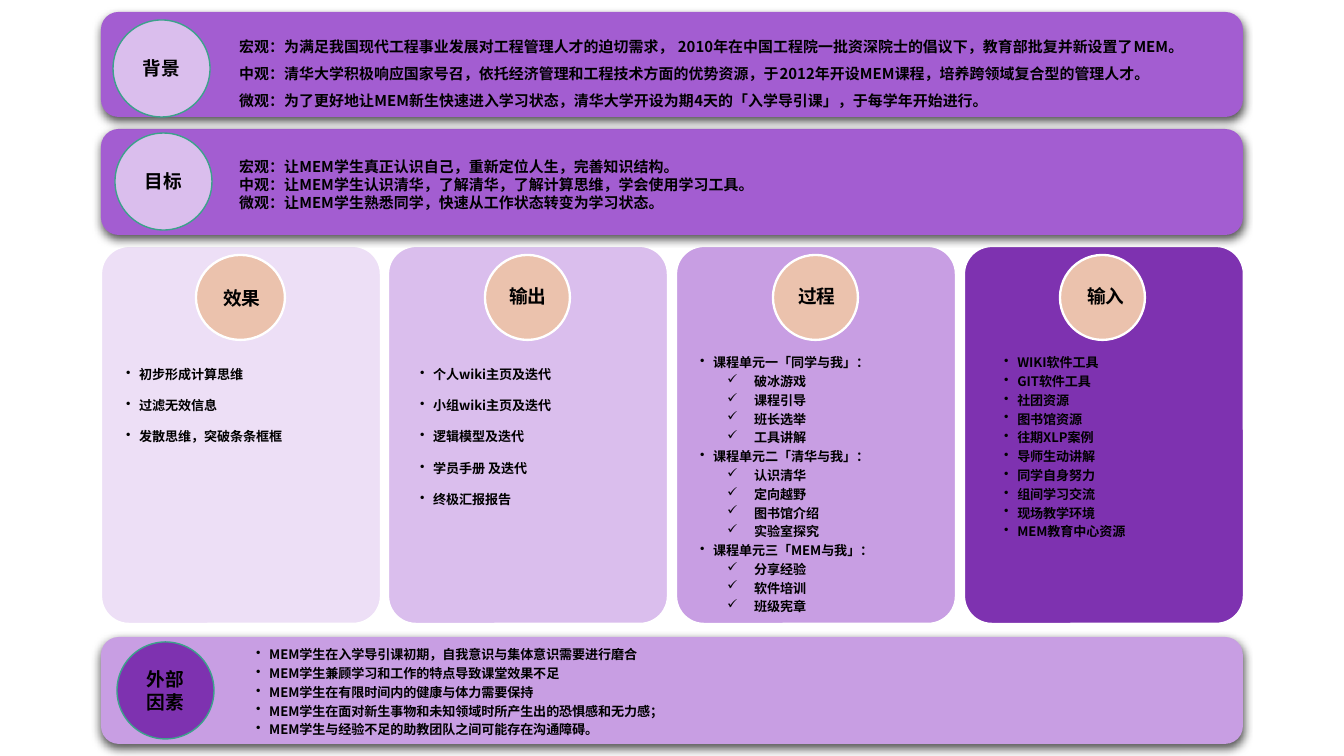
from lxml import etree
from pptx import Presentation
from pptx import util as u
from pptx.dml.color import RGBColor
from pptx.enum import shapes, text
from pptx.oxml import ns

PX = 9144000 / 1344  # EMU in one px
FONT = "Noto Sans CJK SC"
ROUND, OVAL, RECT = (shapes.MSO_SHAPE.ROUNDED_RECTANGLE,
                     shapes.MSO_SHAPE.OVAL, shapes.MSO_SHAPE.RECTANGLE)
rgb = RGBColor.from_string

deck = Presentation()
deck.slide_width, deck.slide_height = round(1344 * PX), round(756 * PX)
page = deck.slides.add_slide(deck.slide_layouts[6])


def add_shape(kind, place, fill, line=None, weight=1.25):
    shape = page.shapes.add_shape(kind, *(round(v * PX) for v in place))
    shape.shadow.inherit = False
    shape.fill.solid()
    shape.fill.fore_color.rgb = rgb(fill)
    if line:
        shape.line.color.rgb = rgb(line)
        shape.line.width = u.Pt(weight)
    else:
        shape.line.fill.background()
    return shape


def write(frame, lines, size, spacing=None, align=text.PP_ALIGN.LEFT):
    frame.text = "\n".join(lines)
    for para in frame.paragraphs:
        para.alignment = align
        para.line_spacing = spacing
        for span in para.runs:
            span.font.size = u.Pt(size)
            span.font.bold = True
            span.font.name = FONT
            span.font.color.rgb = rgb("000000")
            east = etree.SubElement(span.font._element, ns.qn("a:ea"))
            east.set("typeface", FONT)


# Four columns, each with a circle and its title
columns = [
    ("效果", "EDDFF6", (196, 255, 89, 85), (210, 280)),
    ("输出", "DABEED", (485, 255, 85, 85), (496, 278)),
    ("过程", "C89EE3", (773, 255, 85, 85), (785, 278)),
    ("输入", "7E32B0", (1060, 255, 85, 85), (1074, 278)),
]
for index, (title, fill, circle, corner) in enumerate(columns):
    column = add_shape(ROUND, (101 + index * 863 // 3, 246, 280, 378), fill, "FFFFFF")
    column.adjustments[0] = 0.1
    add_shape(OVAL, circle, "EBC2AD", "FFFFFF")
    label = add_shape(RECT, (*corner, 65, 36), "EBC2AD")
    label.text_frame.word_wrap = False
    label.text_frame.auto_size = text.MSO_AUTO_SIZE.SHAPE_TO_FIT_TEXT
    label.text_frame.vertical_anchor = text.MSO_ANCHOR.TOP
    write(label.text_frame, [title], 10)

# Wide bands with a soft shadow below
for top, height, fill in [(129, 106, "A35DD1"), (12, 105, "A35DD1"), (637, 107, "C89EE3")]:
    band = add_shape(ROUND, (101, top, 1142, height), fill)
    effects = band._element.spPr.find(ns.qn("a:effectLst"))
    shadow = etree.SubElement(effects, ns.qn("a:outerShdw"), blurRad=str(u.Pt(5)),
                              dist=str(u.Pt(2)), dir="5400000", rotWithShape="0")
    tone = etree.SubElement(shadow, ns.qn("a:srgbClr"), val="000000")
    etree.SubElement(tone, ns.qn("a:alpha"), val="69000")

# Round band labels
for title, left, top, fill in [("背景", 113, 20, "DABEED"), ("目标", 115, 133, "DABEED"),
                               ("外部因素", 117, 642, "7E32B0")]:
    badge = add_shape(OVAL, (left, top, 97, 97), fill, "3CA28B", 0.75)
    badge.text_frame.word_wrap = True
    badge.text_frame.vertical_anchor = text.MSO_ANCHOR.MIDDLE
    write(badge.text_frame, [title], 10, align=text.PP_ALIGN.CENTER)

# Body texts: place, size, line spacing, left margin of bullets in px, lines
# A line that starts with ✓ is a second-level item
bodies = [
    ((226, 22, 1011, 95), 8, 1.5, None, [
        "宏观：为满足我国现代工程事业发展对工程管理人才的迫切需求， 2010年在中国工程院一批资深院士的倡议下，教育部批复并新设置了MEM。",
        "中观：清华大学积极响应国家号召，依托经济管理和工程技术方面的优势资源，于2012年开设MEM课程，培养跨领域复合型的管理人才。",
        "微观：为了更好地让MEM新生快速进入学习状态，清华大学开设为期4天的「入学导引课」，于每学年开始进行。"]),
    ((226, 151, 974, 67), 8, None, None, [
        "宏观：让MEM学生真正认识自己，重新定位人生，完善知识结构。",
        "中观：让MEM学生认识清华，了解清华，了解计算思维，学会使用学习工具。",
        "微观：让MEM学生熟悉同学，快速从工作状态转变为学习状态。"]),
    ((687, 345, 269, 280), 7, 1.2, 13, [
        "课程单元一「同学与我」：", "✓破冰游戏", "✓课程引导", "✓班长选举", "✓工具讲解",
        "课程单元二「清华与我」：", "✓认识清华", "✓定向越野", "✓图书馆介绍", "✓实验室探究",
        "课程单元三「MEM与我」：", "✓分享经验", "✓软件培训", "✓班级宪章"]),
    ((973, 345, 266, 227), 7, 1.2, 31, [
        "WIKI软件工具", "GIT软件工具", "社团资源", "图书馆资源", "往期XLP案例",
        "导师生动讲解", "同学自身努力", "组间学习交流", "现场教学环境", "MEM教育中心资源"]),
    ((230, 637, 974, 106), 7, 1.2, 26, [
        "MEM学生在入学导引课初期，自我意识与集体意识需要进行磨合",
        "MEM学生兼顾学习和工作的特点导致课堂效果不足",
        "MEM学生在有限时间内的健康与体力需要保持",
        "MEM学生在面对新生事物和未知领域时所产生出的恐惧感和无力感；",
        "MEM学生与经验不足的助教团队之间可能存在沟通障碍。"]),
    ((407, 344, 269, 172), 7, 2.0, 13, [
        "个人wiki主页及迭代", "小组wiki主页及迭代", "逻辑模型及迭代",
        "学员手册 及迭代", "终极汇报报告"]),
    ((113, 344, 269, 103), 7, 2.0, 13, [
        "初步形成计算思维", "过滤无效信息", "发散思维，突破条条框框"]),
]
for place, size, spacing, margin, lines in bodies:
    box = page.shapes.add_textbox(*(round(v * PX) for v in place))
    box.text_frame.word_wrap = True
    box.text_frame.auto_size = text.MSO_AUTO_SIZE.SHAPE_TO_FIT_TEXT
    write(box.text_frame, [line.lstrip("✓") for line in lines], size, spacing)
    if margin is None:
        continue
    for para, line in zip(box.text_frame.paragraphs, lines):
        nested = line.startswith("✓")
        para.level = 1 if nested else 0
        indent, hang, mark = (54, 27, "✓") if nested else (margin, 13, "•")
        props = para._p.get_or_add_pPr()
        props.set("marL", str(round(indent * PX)))
        props.set("indent", str(round(-hang * PX)))
        etree.SubElement(props, ns.qn("a:buChar"), char=mark)

deck.save("out.pptx")
